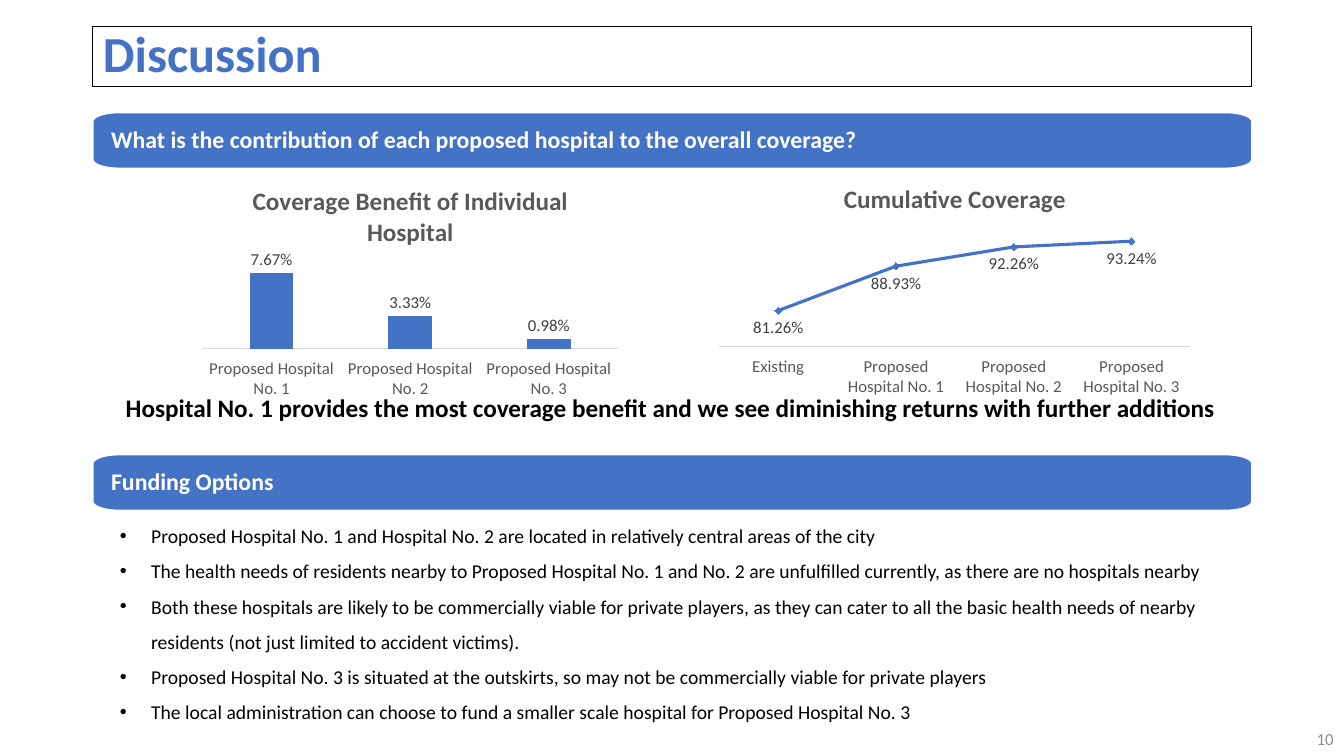
from dataclasses import dataclass
from math import cos, pi, sin

from lxml.etree import SubElement
from pptx import Presentation
from pptx.chart.data import CategoryChartData
from pptx.dml.color import RGBColor as RGB
from pptx.enum.chart import XL_CHART_TYPE as CT, XL_LABEL_POSITION as LP
from pptx.enum.chart import XL_MARKER_STYLE as MS, XL_TICK_LABEL_POSITION as TLP
from pptx.enum.chart import XL_TICK_MARK as TM
from pptx.enum.text import MSO_ANCHOR as MA, MSO_AUTO_SIZE as AUTO, PP_ALIGN as AL
from pptx.oxml.ns import qn
from pptx.util import Cm, Pt


@dataclass(frozen=True)
class Theme:
    font: str = "Calibri"
    blue: str = "4472C4"
    black: str = "000000"
    white: str = "FFFFFF"
    gray: str = "8C8C8C"
    axis_text: str = "595959"
    label_text: str = "404040"
    axis_line: str = "D9D9D9"
    title: int = 36
    heading: int = 18
    banner: int = 17
    body: int = 14
    small: int = 12


class Deck:
    def __init__(self, prs, theme):
        self.prs, self.t = prs, theme
        self.slide = prs.slides.add_slide(prs.slide_layouts[5])

    def style(self, font, size, color, bold=False):
        font.name, font.size, font.bold = self.t.font, Pt(size), bold
        font.color.rgb = RGB.from_string(color)

    def paragraph(self, p, text, size, color, bold=False, align=AL.LEFT):
        p.text, p.alignment = text, align
        self.style(p.runs[0].font, size, color, bold)

    def title(self, text, x, y, w, h):
        sp = self.slide.shapes.title
        sp.left, sp.top, sp.width, sp.height = Cm(x), Cm(y), Cm(w), Cm(h)
        sp.line.color.rgb = RGB.from_string(self.t.black)
        sp.line.width = Pt(0.75)
        tf = sp.text_frame
        tf.auto_size, tf.vertical_anchor = AUTO.NONE, MA.MIDDLE
        p = tf.paragraphs[0]
        self.paragraph(p, text, self.t.title, self.t.blue, True)
        p.line_spacing = 0.9

    def text(self, text, x, y, w, h, size, color, bold=False, align=AL.LEFT):
        sp = self.slide.shapes.add_textbox(Cm(x), Cm(y), Cm(w), Cm(h))
        tf = sp.text_frame
        tf.word_wrap = True
        self.paragraph(tf.paragraphs[0], text, size, color, bold, align)
        return tf

    def bullets(self, items, x, y, w, h):
        tf = self.text(items[0], x, y, w, h, self.t.body, self.t.black)
        for item in items[1:]:
            self.paragraph(tf.add_paragraph(), item, self.t.body, self.t.black)
        for p in tf.paragraphs:
            p.line_spacing = 1.5
            pPr = p._p.get_or_add_pPr()
            pPr.set("marL", str(Cm(0.79)))
            pPr.set("indent", str(-Cm(0.79)))
            SubElement(pPr, qn("a:buFont")).set("typeface", "Arial")
            SubElement(pPr, qn("a:buChar")).set("char", "•")

    def banner(self, text, x, y, w, h, rx=0.64, ry=0.23, steps=10):
        # Elliptical corners, traced clockwise from the right edge
        centres = [(x + w - rx, y + h - ry), (x + rx, y + h - ry),
                   (x + rx, y + ry), (x + w - rx, y + ry)]
        pts = []
        for i, (cx, cy) in enumerate(centres):
            for k in range(steps + 1):
                a = (i + k / steps) * pi / 2
                pts.append((Cm(cx + rx * cos(a)), Cm(cy + ry * sin(a))))
        fb = self.slide.shapes.build_freeform(*pts[0])
        fb.add_line_segments(pts[1:], close=True)
        sp = fb.convert_to_shape()
        sp.shadow.inherit = False
        sp.fill.solid()
        sp.fill.fore_color.rgb = RGB.from_string(self.t.blue)
        sp.line.color.rgb = RGB.from_string(self.t.white)
        sp.line.width = Pt(1)
        tf = sp.text_frame
        tf.word_wrap, tf.vertical_anchor = True, MA.MIDDLE
        tf.margin_left = tf.margin_right = Cm(0.46)
        tf.margin_top = tf.margin_bottom = Cm(0.08)
        p = tf.paragraphs[0]
        self.paragraph(p, text, self.t.banner, self.t.white, True)
        p.line_spacing = 0.9

    def chart(self, kind, title, values, box, scale, plot_box, label_pos):
        t = self.t
        data = CategoryChartData(number_format="0.00%")
        data.categories = list(values)
        data.add_series("Series 1", list(values.values()))
        chart = self.slide.shapes.add_chart(kind, *map(Cm, box), data).chart
        chart.has_legend = False
        self.style(chart.font, 10, t.black)
        self.paragraph(chart.chart_title.text_frame.paragraphs[0], title,
                       t.heading, t.axis_text, True, AL.CENTER)
        # Axes
        cat, val = chart.category_axis, chart.value_axis
        cat.major_tick_mark = TM.NONE
        cat.tick_label_position = TLP.LOW
        self.style(cat.tick_labels.font, t.small, t.axis_text)
        cat.format.line.color.rgb = RGB.from_string(t.axis_line)
        cat.format.line.width = Pt(0.75)
        val.minimum_scale, val.maximum_scale = scale
        val.has_major_gridlines = val.visible = False
        # Data labels
        plot = chart.plots[0]
        plot.vary_by_categories = False
        plot.has_data_labels = True
        labels = plot.data_labels
        labels.show_value, labels.position = True, label_pos
        labels.number_format, labels.number_format_is_linked = "0.00%", False
        self.style(labels.font, t.small, t.label_text)
        self.place_plot(chart, plot_box)
        return plot

    def place_plot(self, chart, plot_box):
        area = chart._chartSpace.chart.plotArea
        for old in area.findall(qn("c:layout")):
            area.remove(old)
        layout = SubElement(area, qn("c:layout"))
        area.insert(0, layout)
        manual = SubElement(layout, qn("c:manualLayout"))
        settings = [("layoutTarget", "inner"), ("xMode", "edge"), ("yMode", "edge")]
        for tag, value in settings + list(zip("xywh", plot_box)):
            SubElement(manual, qn("c:" + tag)).set("val", str(value))

    def columns(self, title, values, box, scale, plot_box):
        plot = self.chart(CT.COLUMN_CLUSTERED, title, values, box, scale,
                          plot_box, LP.OUTSIDE_END)
        plot.gap_width, plot.overlap = 219, -27
        fill = plot.series[0].format.fill
        fill.solid()
        fill.fore_color.rgb = RGB.from_string(self.t.blue)

    def line(self, title, values, box, scale, plot_box):
        plot = self.chart(CT.LINE_MARKERS, title, values, box, scale,
                          plot_box, LP.BELOW)
        ser = plot.series[0]
        ser.smooth = False
        blue = RGB.from_string(self.t.blue)
        ser.format.line.color.rgb, ser.format.line.width = blue, Pt(2.25)
        ser.marker.style, ser.marker.size = MS.DIAMOND, 5
        ser.marker.format.fill.solid()
        ser.marker.format.fill.fore_color.rgb = blue
        ser.marker.format.line.color.rgb = blue


prs = Presentation()
prs.slide_width, prs.slide_height = Cm(33.87), Cm(19.05)
theme = Theme()
deck = Deck(prs, theme)
LEFT, WIDTH = 2.34, 29.21

# Title and section banners
deck.title("Discussion", LEFT, 0.66, WIDTH, 1.52)
for heading, top in [
    ("What is the contribution of each proposed hospital to the overall coverage?", 2.84),
    ("Funding Options", 11.46),
]:
    deck.banner(heading, LEFT, top, WIDTH, 1.4)

# Coverage charts
hospitals = [f"Proposed Hospital No. {n}" for n in (1, 2, 3)]
deck.columns("Coverage Benefit of Individual Hospital",
             dict(zip(hospitals, (0.0767, 0.0333, 0.0098))),
             (4.88, 4.27, 10.92, 5.77), (0, 0.09), (0.02, 0.4, 0.96, 0.39))
deck.line("Cumulative Coverage",
          dict(zip(["Existing"] + hospitals, (0.8126, 0.8893, 0.9226, 0.9324))),
          (17.88, 4.22, 12.37, 5.77), (0.75, 0.95), (0.02, 0.28, 0.96, 0.51))
deck.text("Hospital No. 1 provides the most coverage benefit and we see "
          "diminishing returns with further additions",
          2.92, 9.75, WIDTH, 1.02, theme.heading, theme.black, True)

# Funding options
deck.bullets([
    "Proposed Hospital No. 1 and Hospital No. 2 are located in relatively central areas of the city",
    "The health needs of residents nearby to Proposed Hospital No. 1 and No. 2 are unfulfilled "
    "currently, as there are no hospitals nearby",
    "Both these hospitals are likely to be commercially viable for private players, as they can "
    "cater to all the basic health needs of nearby residents (not just limited to accident victims).",
    "Proposed Hospital No. 3 is situated at the outskirts, so may not be commercially viable "
    "for private players",
    "The local administration can choose to fund a smaller scale hospital for Proposed Hospital No. 3",
], 2.77, 12.78, 28.78, 6.25)

# Slide number
tf = deck.text("10", 26.24, 18.11, 7.62, 1.02, theme.small, theme.gray, align=AL.RIGHT)
tf.vertical_anchor = MA.MIDDLE

prs.save("out.pptx")
